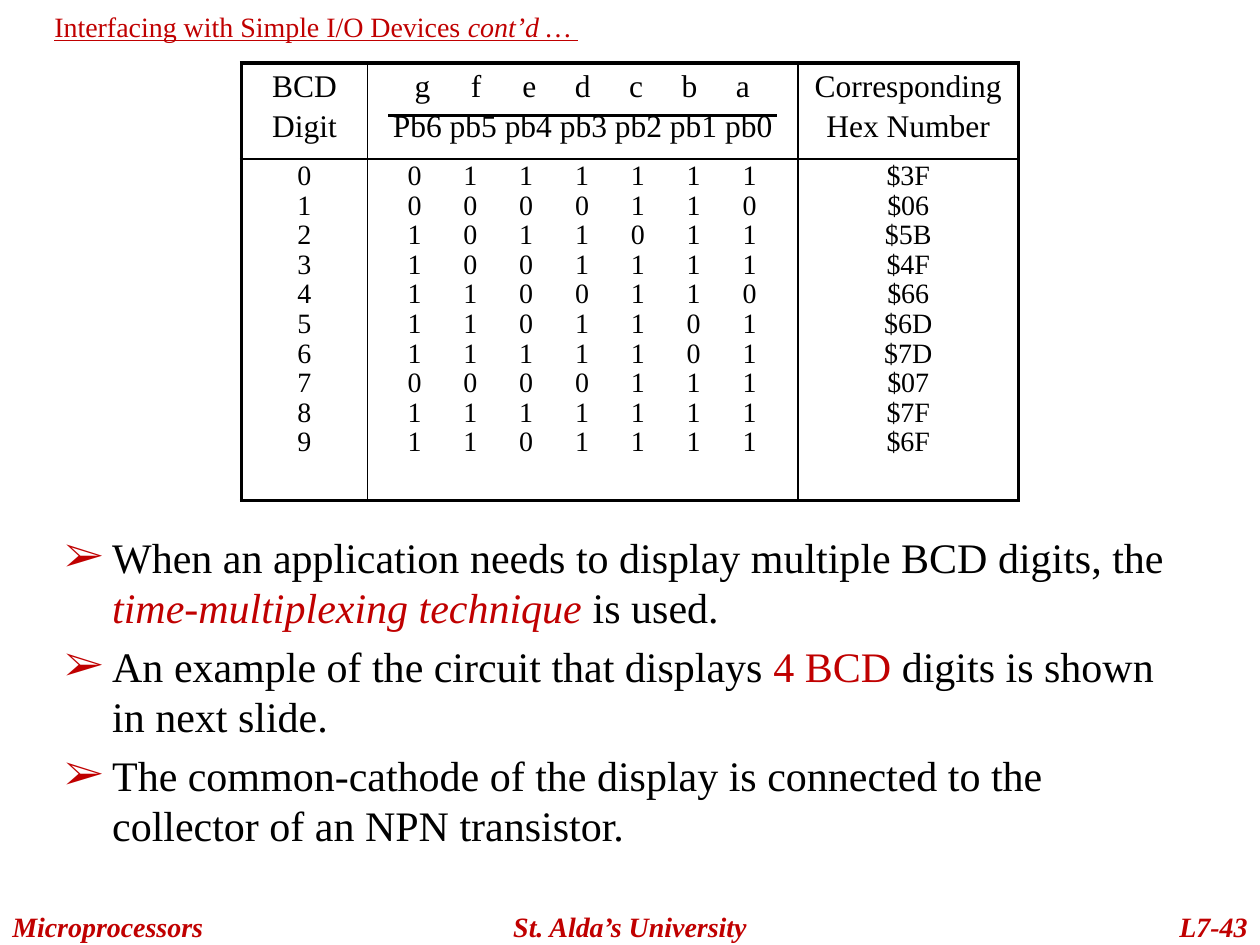
from lxml.etree import SubElement
from pptx import Presentation
from pptx.dml.color import RGBColor
from pptx.enum.shapes import MSO_CONNECTOR as Link
from pptx.enum.text import MSO_ANCHOR as Anchor, PP_ALIGN as Align
from pptx.oxml.ns import qn
from pptx.util import Pt

RED, BLACK = "C00000", "000000"
FONT = "Times New Roman"


def hue(code):
    return RGBColor.from_string(code)


def node(parent, tag, **attrs):
    return SubElement(parent, qn(tag), {k: str(v) for k, v in attrs.items()})


def write(frame, lines, size=16, color=BLACK, align=Align.LEFT, bold=False, italic=False,
          under=False, before=0, space=None, bullet=None, hang=0, tabs=None):
    frame.word_wrap = True
    for i, line in enumerate(lines):
        para = frame.paragraphs[0] if i == 0 else frame.add_paragraph()
        parts = [line] if isinstance(line, str) else line
        tabbed = "\t" in parts[0]
        para.alignment = Align.LEFT if tabbed else align
        para.space_before = Pt(before)
        if space:
            para.line_spacing = space
        props = para._p.get_or_add_pPr()
        if bullet:
            props.set("marL", str(Pt(hang)))
            props.set("indent", str(-Pt(hang)))
            node(node(props, "a:buClr"), "a:srgbClr", val=RED)
            node(props, "a:buFont", typeface=FONT)
            node(props, "a:buChar", char=bullet)
        if tabbed:
            first, step = tabs
            stops = node(props, "a:tabLst")
            for n in range(parts[0].count("\t")):
                node(stops, "a:tab", pos=Pt(first + n * step), algn="ctr")
        for part in parts:
            words, look = (part, {}) if isinstance(part, str) else part
            run = para.add_run()
            run.text = words
            font = run.font
            font.name, font.size = FONT, Pt(size)
            font.bold, font.underline = bold, under
            font.italic = look.get("italic", italic)
            font.color.rgb = hue(look.get("color", color))


class Deck:
    """Holds the style and the current slide."""

    def __init__(self, wide, high):
        self.show = Presentation()
        self.show.slide_width, self.show.slide_height = Pt(wide), Pt(high)
        self.slide = self.show.slides.add_slide(self.show.slide_layouts[6])
        self.thick, self.thin = 2.25, 1

    def text(self, box, lines, anchor=Anchor.TOP, **look):
        frame = self.slide.shapes.add_textbox(*map(Pt, box)).text_frame
        frame.vertical_anchor = anchor
        write(frame, lines, **look)

    def line(self, x1, y1, x2, y2, width):
        link = self.slide.shapes.add_connector(Link.STRAIGHT, *map(Pt, (x1, y1, x2, y2)))
        link.line.color.rgb = hue(BLACK)
        link.line.width = Pt(width)
        node(link._element.spPr, "a:effectLst")

    def edge(self, cell, outer):
        props = cell._tc.get_or_add_tcPr()
        for side in "LRTB":
            width = self.thick if side in outer else self.thin
            rule = node(props, f"a:ln{side}", w=Pt(width))
            node(node(rule, "a:solidFill"), "a:srgbClr", val=BLACK)
        cell.fill.background()

    def table(self, left, top, cols, rows, cells):
        grid = self.slide.shapes.add_table(
            len(rows), len(cols), *map(Pt, (left, top, sum(cols), sum(rows)))).table
        for col, wide in zip(grid.columns, cols):
            col.width = Pt(wide)
        for r, high in enumerate(rows):
            grid.rows[r].height = Pt(high)
            for c, (lines, look) in enumerate(cells[r]):
                cell = grid.cell(r, c)
                write(cell.text_frame, lines, align=Align.CENTER, before=2.7, **look)
                self.edge(cell, ("L" if c == 0 else "") + ("R" if c == len(cols) - 1 else "")
                          + ("T" if r == 0 else "") + ("B" if r == len(rows) - 1 else ""))


def main():
    deck = Deck(720, 540)
    codes = "3F 06 5B 4F 66 6D 7D 07 7F 6F".split()
    spread = lambda chars: "".join("\t" + char for char in chars)
    head = {"size": 18, "tabs": (24.3, 30.5)}
    body = {"space": 0.8, "tabs": (19.7, 31.9)}
    deck.table(138, 36, (72, 246, 126), (55, 195), [
        [(["BCD", "Digit"], head),
         ([spread("gfedcba"), "Pb6 pb5 pb4 pb3 pb2 pb1 pb0"], head),
         (["Corresponding", "Hex Number"], head)],
        [([str(n) for n in range(len(codes))], body),
         ([spread(f"{int(code, 16):07b}") for code in codes], body),
         (["$" + code for code in codes], body)]])
    deck.line(222, 66, 444, 66, 1.5)
    deck.text((24, 0, 612, 30), [["Interfacing with Simple I/O Devices ",
                                  ("cont’d …", {"italic": True}), " "]],
              anchor=Anchor.MIDDLE, color=RED, under=True)
    deck.text((30, 300, 660, 198), [
        ["When an application needs to display multiple BCD digits, the ",
         ("time-multiplexing technique ", {"color": RED, "italic": True}), "is used."],
        ["An example of the circuit that displays ", ("4 BCD ", {"color": RED}),
         "digits is shown in next slide."],
        "The common-cathode of the display is connected to the collector of an NPN transistor."],
        size=24, before=4.8, bullet="➢", hang=27)
    for left, wide, words, align in ((0, 144, "Microprocessors", Align.LEFT),
                                     (246, 228, "St. Alda’s University", Align.CENTER),
                                     (606, 114, "L7-43", Align.RIGHT)):
        deck.text((left, 516, wide, 24), [words], color=RED, bold=True, italic=True, align=align)
    deck.show.save("out.pptx")


if __name__ == "__main__":
    main()
